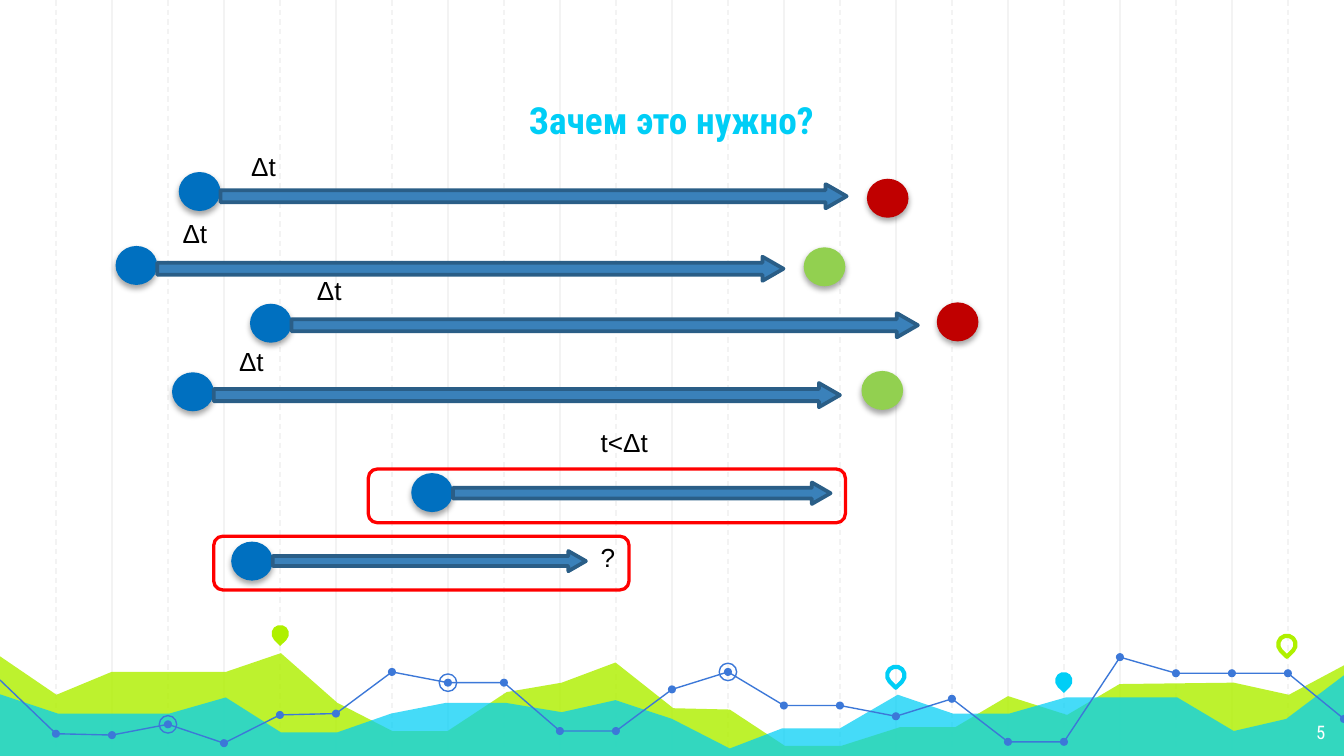
"""Build the slide «Зачем это нужно?» with timed tracks over a decorated background."""
from lxml import etree
from pptx import Presentation
from pptx import util as u
from pptx.dml.color import RGBColor
from pptx.enum import dml, shapes, text
from pptx.oxml import ns

WIDTH = 10
HEIGHT = WIDTH * 9 / 16
STEP = WIDTH / 24
BALL = (0.31, 0.29)
PIN = 0.13
DOT = 0.06

WHITE = RGBColor(0xFF, 0xFF, 0xFF)
BLACK = RGBColor(0x00, 0x00, 0x00)
GRID = RGBColor(0xF3, 0xF3, 0xF3)
LIME = RGBColor(0xAF, 0xF0, 0x00)
CYAN = RGBColor(0x00, 0xCE, 0xF6)
TREND = RGBColor(0x3C, 0x78, 0xD8)
BLUE = RGBColor(0x00, 0x70, 0xC0)
DARK_RED = RGBColor(0xC0, 0x00, 0x00)
GREEN = RGBColor(0x92, 0xD0, 0x50)
ARROW = RGBColor(0x3A, 0x81, 0xBA)
ARROW_EDGE = RGBColor(0x2A, 0x5E, 0x87)
RED = RGBColor(0xFF, 0x00, 0x00)

AREAS = [
    (LIME, 82, [
        (-0.02, 4.87), (0.42, 5.17), (0.83, 5), (1.68, 5), (2.09, 4.86), (2.51, 5.23),
        (2.92, 5.44), (3.33, 5.44), (3.77, 5.15), (4.18, 5.08), (4.58, 4.93), (5.01, 5.27),
        (5.43, 5.28), (5.84, 5.55), (6.26, 5.55), (6.7, 5.41), (7.11, 5.41), (7.5, 5.18),
        (7.94, 5.32), (8.33, 5.09), (9.18, 5.08), (9.59, 5.17), (10.02, 4.94),
        (10.01, 5.64), (-0.03, 5.64)]),
    (CYAN, 73, [
        (-0.02, 5.16), (0.43, 5.31), (1.26, 5.31), (1.68, 5.19), (2.09, 5.45), (2.51, 5.45),
        (2.91, 5.31), (3.32, 5.23), (3.76, 5.23), (4.18, 5.3), (4.58, 5.21), (5, 5.35),
        (5.43, 5.57), (5.82, 5.42), (6.25, 5.42), (6.68, 5.17), (7.09, 5.31), (7.51, 5.31),
        (7.93, 5.19), (8.76, 5.19), (9.18, 5.44), (9.57, 5.35), (10.02, 5.01),
        (10.02, 5.65), (-0.03, 5.65)]),
]
TREND_Y = [5.06, 5.46, 5.47, 5.39, 5.53, 5.32, 5.31, 5, 5.08, 5.08, 5.44, 5.44, 5.13,
           5, 5.25, 5.25, 5.33, 5.2, 5.52, 5.52, 4.89, 5.01, 5.01, 5.01, 5.35]
TREND_PARTS = [(0, 11), (11, 20), (20, 24)]
RINGED = [3, 8, 13]
PINS = [(2.02, 4.65, LIME, True), (6.6, 4.96, CYAN, False),
        (7.85, 5, CYAN, True), (9.51, 4.73, LIME, False)]

TRACKS = [
    {"ball": (1.33, 1.28), "arrow": (1.37, 4.66, 0.18), "end": (6.45, 1.33, DARK_RED)},
    {"ball": (0.86, 1.83), "arrow": (1.91, 4.66, 0.18), "end": (5.98, 1.84, GREEN)},
    {"ball": (1.86, 2.26), "arrow": (2.33, 4.66, 0.18), "end": (6.97, 2.25, DARK_RED)},
    {"ball": (1.28, 2.77), "arrow": (2.85, 4.66, 0.18), "end": (6.41, 2.76, GREEN)},
    {"ball": (3.06, 3.52), "arrow": (3.59, 2.81, 0.16), "frame": (2.74, 3.49, 3.55, 0.4)},
    {"ball": (1.72, 4.03), "arrow": (4.1, 2.33, 0.15), "frame": (1.59, 3.99, 3.09, 0.4)},
]

LEFT, CENTER, RIGHT = text.PP_ALIGN.LEFT, text.PP_ALIGN.CENTER, text.PP_ALIGN.RIGHT
TOP, BOTTOM = text.MSO_ANCHOR.TOP, text.MSO_ANCHOR.BOTTOM
HEADING = {"name": "Roboto Condensed", "size": u.Pt(20), "bold": True}
NUMBER = {"name": "Roboto Condensed", "size": u.Pt(10)}
LABEL = {"name": "Arial", "size": u.Pt(14)}
LABELS = [("Δt", 1.77, 1.07, 0.45), ("Δt", 1.26, 1.57, 0.45), ("Δt", 2.26, 1.99, 0.45),
          ("Δt", 1.68, 2.52, 0.45), ("t<Δt", 4.37, 3.12, 0.66), ("?", 4.37, 3.98, 0.31)]


def cm(inches):
    """Convert inches to a Cm length."""
    return u.Cm(inches * 2.54)


def paint(s, fill=None, line=None, weight=0.75):
    """Set fill and outline and drop the theme shadow."""
    s.shadow.inherit = False
    if fill is None:
        s.fill.background()
    else:
        s.fill.solid()
        s.fill.fore_color.rgb = fill
    if line is None:
        s.line.fill.background()
    else:
        s.line.color.rgb = line
        s.line.width = u.Pt(weight)
    return s


def add_preset(kind, box, *adjustments, **style):
    """Add a painted preset shape."""
    s = slide.shapes.add_shape(kind, *map(cm, box))
    for i, value in enumerate(adjustments):
        s.adjustments[i] = value
    return paint(s, **style)


def add_path(points, closed, **style):
    """Add a painted freeform through the points."""
    first, *rest = [(cm(x), cm(y)) for x, y in points]
    builder = slide.shapes.build_freeform(*first, scale=1.0)
    builder.add_line_segments(rest, close=closed)
    return paint(builder.convert_to_shape(), **style)


def add_alpha(color, percent):
    """Make a colour element partly transparent."""
    etree.SubElement(color, ns.qn("a:alpha"), val=str(percent * 1000))


def add_ball(x, y, color):
    """Add a ball with a soft shadow beneath it."""
    s = add_preset(shapes.MSO_SHAPE.OVAL, (x, y, *BALL), fill=color)
    effects = s.element.spPr.find(ns.qn("a:effectLst"))
    shadow = etree.SubElement(effects, ns.qn("a:outerShdw"), blurRad=str(u.Pt(3.1)),
                              dist=str(u.Pt(1.8)), dir="5400000", rotWithShape="0")
    add_alpha(etree.SubElement(shadow, ns.qn("a:srgbClr"), val=str(BLACK)), 35)


def add_text(words, box, font, color, align=LEFT, anchor=TOP, inset=0.1, wrap=True):
    """Add a text box holding a single run."""
    tf = slide.shapes.add_textbox(*map(cm, box)).text_frame
    frame = {"word_wrap": wrap, "vertical_anchor": anchor,
             "margin_left": cm(0.1), "margin_right": cm(0.1),
             "margin_top": cm(inset), "margin_bottom": cm(inset)}
    for key, value in frame.items():
        setattr(tf, key, value)
    p = tf.paragraphs[0]
    p.alignment = align
    r = p.add_run()
    r.text = words
    for key, value in font.items():
        setattr(r.font, key, value)
    r.font.color.rgb = color


def add_grid():
    """Draw the solid vertical lines, then the dashed ones between them."""
    for i in [*range(2, 24, 2), *range(1, 24, 2)]:
        x = cm(i * STEP)
        s = slide.shapes.add_connector(shapes.MSO_CONNECTOR.STRAIGHT, x, 0, x, cm(5.65))
        s.line.color.rgb = GRID
        s.line.width = u.Pt(0.75)
        if i % 2:
            s.line.dash_style = dml.MSO_LINE.DASH
        etree.SubElement(s.element.spPr, ns.qn("a:effectLst"))


def add_landscape():
    """Draw the areas, pins and trend line along the bottom."""
    for color, opacity, points in AREAS:
        s = add_path(points, True, fill=color)
        add_alpha(s.element.spPr.find(ns.qn("a:solidFill"))[0], opacity)
    for x, y, color, solid in PINS:
        style = {"fill": color} if solid else {"line": color, "weight": 2.25}
        s = add_preset(shapes.MSO_SHAPE.TEAR, (x, y, PIN, PIN), 1, **style)
        s.rotation = 135
    points = [(i * STEP, y) for i, y in enumerate(TREND_Y)]
    for start, end in TREND_PARTS:
        add_path(points[start:end + 1], False, line=TREND)
    dots = [(p, DOT, {"fill": TREND}) for p in points[1:]]
    rings = [(points[i], PIN, {"line": TREND}) for i in RINGED]
    for (x, y), size, style in dots + rings:
        box = (x - size / 2, y - size / 2, size, size)
        add_preset(shapes.MSO_SHAPE.OVAL, box, **style)


def add_track(ball, arrow, end=None, frame=None):
    """Draw a ball, its arrow and either an end ball or a frame."""
    add_ball(*ball, BLUE)
    y, length, height = arrow
    add_preset(shapes.MSO_SHAPE.RIGHT_ARROW, (ball[0] + BALL[0], y, length, height),
               0.5, 0.87, fill=ARROW, line=ARROW_EDGE, weight=2)
    if end:
        add_ball(*end)
    if frame:
        add_preset(shapes.MSO_SHAPE.ROUNDED_RECTANGLE, frame, 0.17, line=RED, weight=1.75)


prs = Presentation()
prs.slide_width, prs.slide_height = cm(WIDTH), cm(HEIGHT)
slide = prs.slides.add_slide(prs.slide_layouts[6])
add_grid()
add_landscape()
add_text("Зачем это нужно?", (1.17, 0.38, 7.65, 0.78), HEADING, CYAN, CENTER, BOTTOM)
add_text("5", (9.36, 5.28, 0.6, 0.35), NUMBER, WHITE, RIGHT)
for track in TRACKS:
    add_track(**track)
for words, x, y, width in LABELS:
    add_text(words, (x, y, width, 0.4), LABEL, BLACK, inset=0.05, wrap=False)
prs.save("out.pptx")
